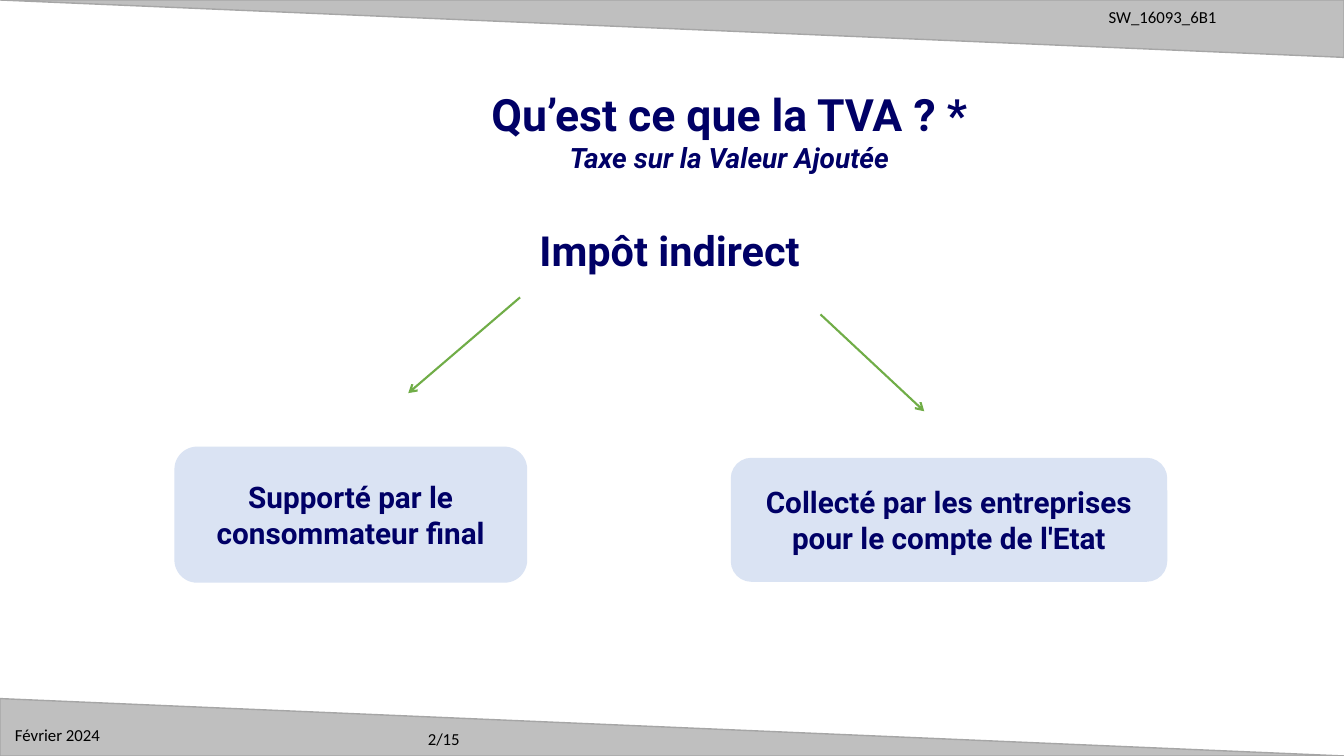
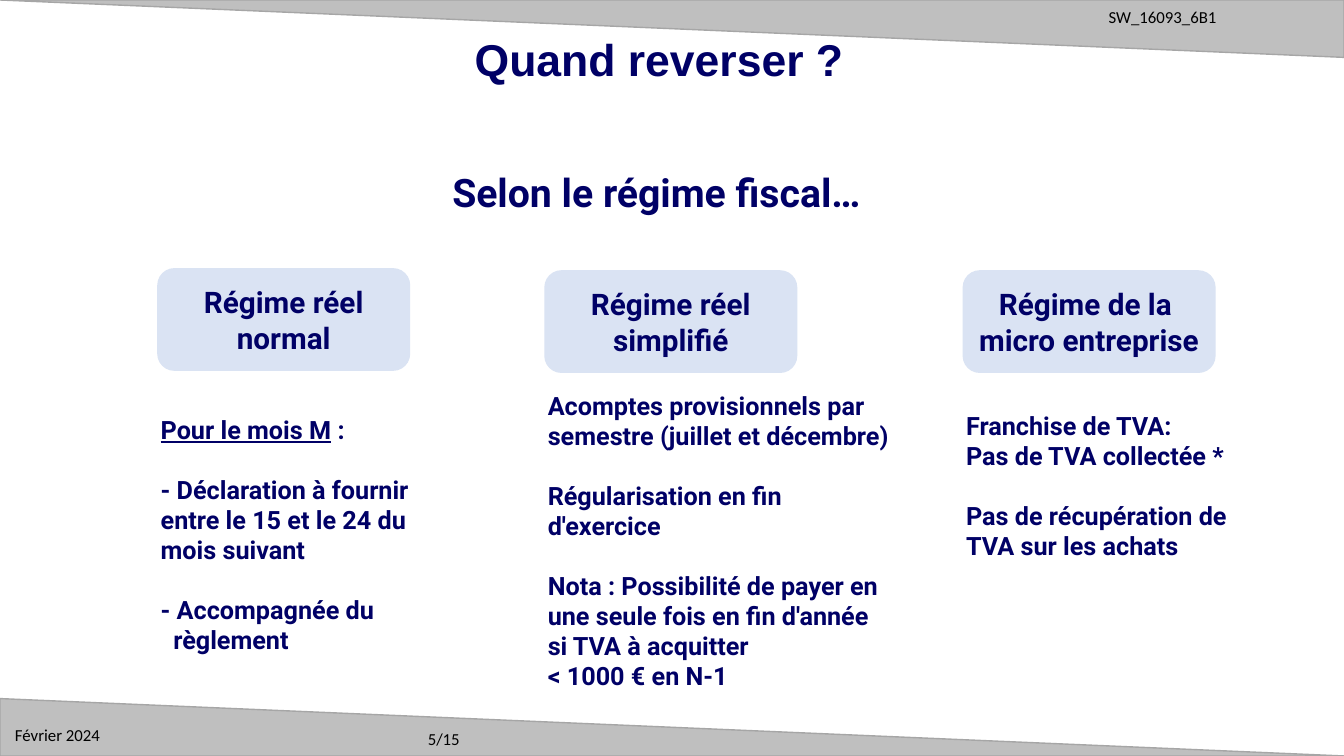
from dataclasses import dataclass

from lxml.etree import SubElement
from pptx import Presentation
from pptx.dml.color import RGBColor
from pptx.enum.shapes import MSO_CONNECTOR, MSO_SHAPE
from pptx.enum.text import MSO_ANCHOR, PP_ALIGN
from pptx.oxml.ns import qn
from pptx.shapes.base import BaseShape
from pptx.slide import Slide
from pptx.util import Pt


@dataclass(frozen=True)
class Theme:
    navy: RGBColor = RGBColor(0x00, 0x00, 0x66)
    black: RGBColor = RGBColor(0x00, 0x00, 0x00)
    pale_blue: RGBColor = RGBColor(0xDA, 0xE3, 0xF3)
    green: RGBColor = RGBColor(0x70, 0xAD, 0x47)
    band: RGBColor = RGBColor(0xBF, 0xBF, 0xBF)
    band_edge: RGBColor = RGBColor(0xA6, 0xA6, 0xA6)
    heading_font: str = "Roboto"
    title_font: str = "Arial"
    footer_font: str = "Calibri"
    title: float = 31.8
    lead: float = 29.6
    section: float = 28
    card: float = 21.2
    subtitle: float = 20
    body: float = 18
    footer: float = 12


THEME = Theme()
WIDTH, HEIGHT, BAND_HEIGHT = 960, 540, 41
BODY_GAP = 21.1


@dataclass(frozen=True)
class Box:
    left: float
    top: float
    width: float
    height: float

    def emu(self) -> tuple[Pt, Pt, Pt, Pt]:
        return Pt(self.left), Pt(self.top), Pt(self.width), Pt(self.height)


@dataclass(frozen=True)
class Line:
    """One paragraph; `underlined` comes before `text`."""
    text: str
    size: float = THEME.body
    font: str = THEME.heading_font
    color: RGBColor = THEME.navy
    bold: bool = True
    italic: bool = False
    underlined: str = ""
    gap: float = 0
    hanging: float = 0


@dataclass(frozen=True)
class Card:
    box: Box
    label: str


@dataclass(frozen=True)
class Arrow:
    start: tuple[float, float]
    end: tuple[float, float]


@dataclass(frozen=True)
class Regime:
    card: Card
    details_top: float
    details_width: float
    details: list[Line]


def write(shape: BaseShape, lines: list[Line], align: PP_ALIGN = PP_ALIGN.LEFT,
          anchor: MSO_ANCHOR = MSO_ANCHOR.TOP, wrap: bool = True) -> None:
    frame = shape.text_frame
    frame.word_wrap = wrap
    frame.vertical_anchor = anchor
    for index, line in enumerate(lines):
        paragraph = frame.add_paragraph() if index else frame.paragraphs[0]
        paragraph.text = line.text
        if line.underlined:
            paragraph.text = line.underlined
            paragraph.runs[0].font.underline = True
            paragraph.add_run().text = line.text
        paragraph.alignment = align
        paragraph.space_before = Pt(line.gap)
        if line.hanging:
            properties = paragraph._p.get_or_add_pPr()
            properties.set("marL", str(Pt(line.hanging)))
            properties.set("indent", str(-Pt(line.hanging)))
        formats = {"size": Pt(line.size), "name": line.font,
                   "bold": line.bold, "italic": line.italic}
        for run in paragraph.runs:
            for attribute, value in formats.items():
                setattr(run.font, attribute, value)
            run.font.color.rgb = line.color


def add_text(slide: Slide, box: Box, lines: list[Line],
             align: PP_ALIGN = PP_ALIGN.LEFT,
             anchor: MSO_ANCHOR = MSO_ANCHOR.TOP) -> None:
    write(slide.shapes.add_textbox(*box.emu()), lines, align, anchor)


def add_band(slide: Slide, top: float, rotation: float) -> None:
    box = Box(0, top, WIDTH, BAND_HEIGHT)
    band = slide.shapes.add_shape(MSO_SHAPE.ISOSCELES_TRIANGLE, *box.emu())
    band.adjustments[0] = 0
    band.rotation = rotation
    band.shadow.inherit = False
    band.fill.solid()
    band.fill.fore_color.rgb = THEME.band
    band.line.color.rgb = THEME.band_edge
    band.line.width = Pt(1)


def add_card(slide: Slide, card: Card) -> None:
    shape = slide.shapes.add_shape(MSO_SHAPE.ROUNDED_RECTANGLE, *card.box.emu())
    shape.shadow.inherit = False
    shape.fill.solid()
    shape.fill.fore_color.rgb = THEME.pale_blue
    shape.line.fill.background()
    write(shape, [Line(card.label, THEME.card)], PP_ALIGN.CENTER,
          MSO_ANCHOR.MIDDLE, wrap=False)


def add_arrow(slide: Slide, arrow: Arrow) -> None:
    ends = (Pt(value) for value in (*arrow.start, *arrow.end))
    connector = slide.shapes.add_connector(MSO_CONNECTOR.STRAIGHT, *ends)
    connector.line.color.rgb = THEME.green
    connector.line.width = Pt(1.5)
    SubElement(connector.line._get_or_add_ln(), qn("a:tailEnd"), type="arrow")
    SubElement(connector._element.spPr, qn("a:effectLst"))


def new_slide(deck: Presentation, page: str) -> Slide:
    """Add a blank slide with its grey bands, reference, date and page number."""
    slide = deck.slides.add_slide(deck.slide_layouts[6])
    add_band(slide, 0, 180)
    add_band(slide, HEIGHT - BAND_HEIGHT, 0)
    for text, box in (
        (page, Box(298.5, 517, 100, 21.6)),
        ("SW_16093_6B1", Box(784.8, 1.4, 172, 21.6)),
        ("Février 2024", Box(3.6, 514, 99.4, 21.6)),
    ):
        add_text(slide, box, [Line(text, THEME.footer, THEME.footer_font,
                                   THEME.black, bold=False)])
    return slide


def build_definition(deck: Presentation) -> None:
    slide = new_slide(deck, "2/15")
    add_text(slide, Box(329.8, 30.2, 382.3, 126.7), [
        Line("Qu’est ce que la TVA ? *", THEME.title),
        Line("Taxe sur la Valeur Ajoutée", THEME.subtitle, italic=True),
    ], PP_ALIGN.CENTER, MSO_ANCHOR.MIDDLE)
    add_text(slide, Box(368, 157, 221, 79),
             [Line("Impôt indirect", THEME.lead)], PP_ALIGN.CENTER)
    for card in (
        Card(Box(124.6, 319, 252, 97.2), "Supporté par le\nconsommateur final"),
        Card(Box(522, 327, 311.8, 88.6),
             "Collecté par les entreprises\npour le compte de l'Etat"),
    ):
        add_card(slide, card)
    for arrow in (Arrow((371.5, 212.4), (291.6, 280.8)),
                  Arrow((586.1, 224.6), (660.2, 293.8))):
        add_arrow(slide, arrow)


def regime_card(left: float, top: float, label: str) -> Card:
    return Card(Box(left, top, 180.7, 73.4), label)


def build_schedule(deck: Presentation) -> None:
    slide = new_slide(deck, "5/15")
    add_text(slide, Box(332, 19.5, 299, 50.4),
             [Line("Quand reverser ?", THEME.title, THEME.title_font)])
    add_text(slide, Box(316, 116.6, 368, 41),
             [Line("Selon le régime fiscal…", THEME.section)])
    regimes = (
        Regime(regime_card(112.3, 191.5, "Régime réel\nnormal"), 292.3, 207.4, [
            Line(" :", underlined="Pour le mois M"),
            Line("- Déclaration à fournir entre le 15 et le 24 du mois suivant",
                 gap=BODY_GAP),
            Line("- Accompagnée du\nrèglement", gap=BODY_GAP, hanging=9),
        ]),
        Regime(regime_card(388.8, 193, "Régime réel\nsimplifié"), 275, 259.2, [
            Line("Acomptes provisionnels par semestre (juillet et décembre)"),
            Line("Régularisation en fin d'exercice", gap=BODY_GAP),
            Line("Nota : Possibilité de payer en une seule fois en fin d'année "
                 "si TVA à acquitter\n< 1000 € en N-1", gap=BODY_GAP),
        ]),
        Regime(regime_card(687.6, 193, "Régime de la \nmicro entreprise"),
               289.4, 220.3, [
            Line("Franchise de TVA:"),
            Line("Pas de TVA collectée *"),
            Line("Pas de récupération de TVA sur les achats", gap=BODY_GAP),
        ]),
    )
    for regime in regimes:
        add_card(slide, regime.card)
        details = Box(regime.card.box.left - 4.6, regime.details_top,
                      regime.details_width, 180)
        add_text(slide, details, regime.details)


def main() -> None:
    deck = Presentation()
    deck.slide_width, deck.slide_height = Pt(WIDTH), Pt(HEIGHT)
    build_definition(deck)
    build_schedule(deck)
    deck.save("out.pptx")


if __name__ == "__main__":
    main()
